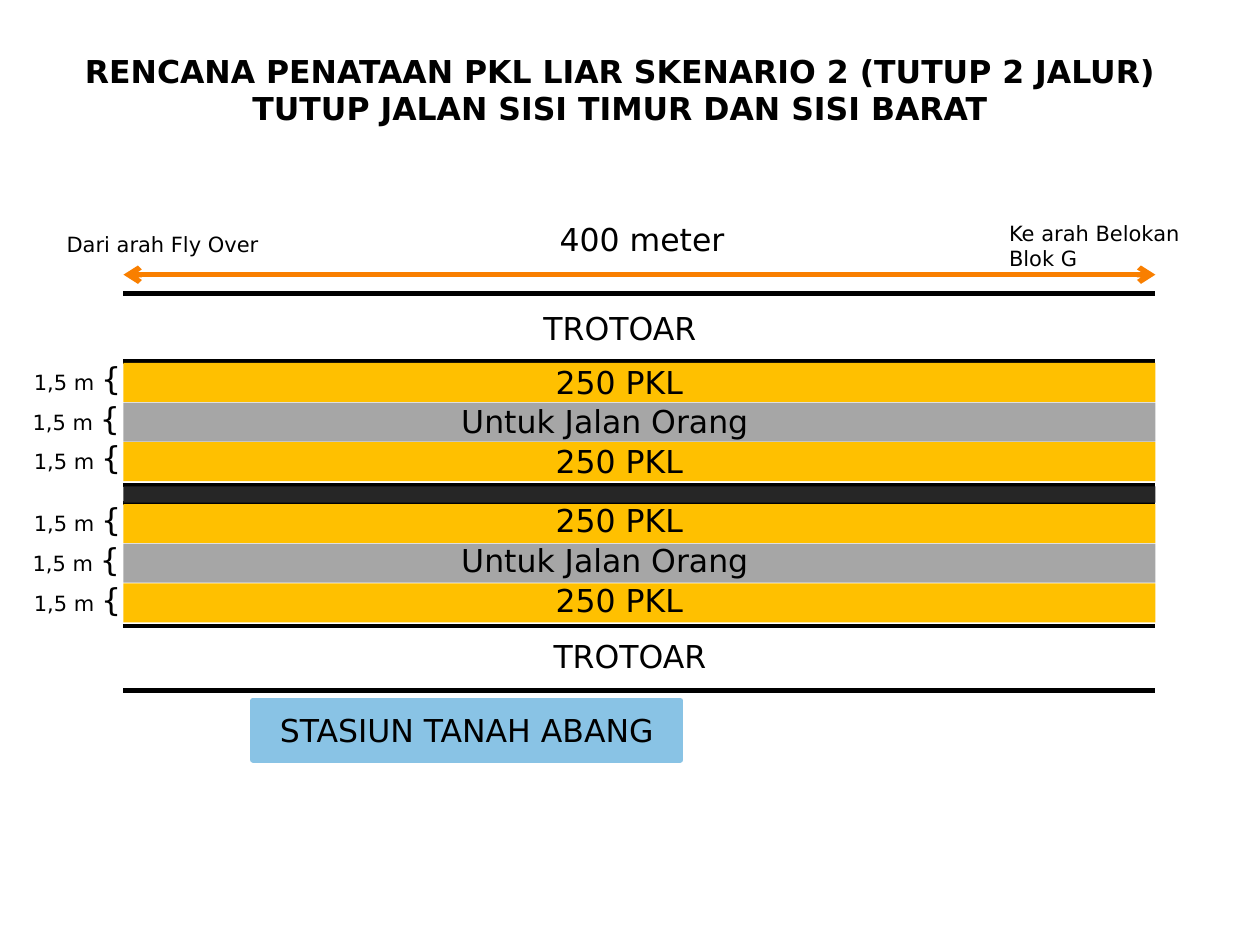
from lxml import etree
from pptx import Presentation
from pptx.dml.color import RGBColor
from pptx.enum import shapes, text
from pptx.oxml import ns
from pptx.util import Inches, Pt

COLORS = {
    "ink": "000000",
    "stall": "FFC000",
    "walkway": "A6A6A6",
    "median": "262626",
    "station": "89C3E5",
    "arrow": "F97F00",
}
FONT = "DejaVu Sans"
LEFT, LENGTH = 0.98, 8.19
LANE_HEIGHT, LANE_STEP = 0.31, 0.315
LANES = [
    ("stall", "250 PKL", 3.66, 2.51, 0.2),
    ("walkway", "Untuk Jalan Orang", 3.19, 3.22, 0.19),
    ("stall", "250 PKL", 3.66, 2.51, 0.2),
]


class StreetPlan:
    def __init__(self, slide):
        self.shapes = slide.shapes

    def color(self, name):
        return RGBColor.from_string(COLORS[name])

    def style(self, run, size, bold=False):
        run.font.name = FONT
        run.font.size = Pt(size)
        run.font.bold = bold
        run.font.color.rgb = self.color("ink")

    def label(self, words, left, top, width, height, size=18, bold=False, centered=True):
        box = self.shapes.add_textbox(*map(Inches, (left, top, width, height)))
        frame = box.text_frame
        frame.word_wrap = True
        frame.auto_size = text.MSO_AUTO_SIZE.SHAPE_TO_FIT_TEXT
        frame.text = words
        for paragraph in frame.paragraphs:
            paragraph.alignment = text.PP_ALIGN.CENTER if centered else text.PP_ALIGN.LEFT
            for run in paragraph.runs:
                self.style(run, size, bold)
        return frame

    def lane_width(self, left, top):
        frame = self.label("1,5 m ", left, top, 0.83, 0.38, size=12)
        frame.margin_left = frame.margin_right = Inches(0.04)
        frame.margin_top = frame.margin_bottom = Inches(0.04)
        brace = frame.paragraphs[0].add_run()
        brace.text = "{"
        self.style(brace, 18)

    def block(self, color, left, top, width, height):
        block = self.shapes.add_shape(
            shapes.MSO_SHAPE.RECTANGLE, *map(Inches, (left, top, width, height)))
        block.shadow.inherit = False
        block.fill.solid()
        block.fill.fore_color.rgb = self.color(color)
        block.line.fill.background()
        return block

    def station(self, words, left, top, width, height):
        station = self.block("station", left, top, width, height)
        station.line.color.rgb = self.color("station")
        station.line.width = Pt(3.35)
        frame = station.text_frame
        frame.text = words
        frame.vertical_anchor = text.MSO_ANCHOR.MIDDLE
        frame.paragraphs[0].alignment = text.PP_ALIGN.CENTER
        self.style(frame.paragraphs[0].runs[0], 18)

    def line(self, y, color="ink", width=2.5):
        line = self.shapes.add_connector(
            shapes.MSO_CONNECTOR.STRAIGHT,
            *map(Inches, (LEFT, y, LEFT + LENGTH, y)))
        line.line.color.rgb = self.color(color)
        line.line.width = Pt(width)
        etree.SubElement(line._element.spPr, ns.qn("a:effectLst"))
        return line

    def double_arrow(self, y):
        outline = self.line(y, "arrow", 3).line._get_or_add_ln()
        for end in ("a:headEnd", "a:tailEnd"):
            etree.SubElement(outline, ns.qn(end), type="arrow")

    def road(self, top, label_lift):
        for index, (color, words, left, width, measure_left) in enumerate(LANES):
            y = top + index * LANE_STEP
            self.block(color, LEFT, y, LENGTH, LANE_HEIGHT)
            self.label(words, left, y - label_lift, width, 0.4)
            self.lane_width(measure_left, y - 0.07)


def main():
    deck = Presentation()
    deck.slide_width, deck.slide_height = Inches(10), Inches(7.5)
    plan = StreetPlan(deck.slides.add_slide(deck.slide_layouts[6]))

    plan.label("RENCANA PENATAAN PKL LIAR SKENARIO 2 (TUTUP 2 JALUR)\n"
               "TUTUP JALAN SISI TIMUR DAN SISI BARAT",
               0.43, 0.36, 8.98, 0.71, bold=True)

    for edge in (2.33, 2.87, 3.85, 3.99, 4.97, 5.48):
        plan.line(edge)
    plan.road(2.88, 0.05)
    plan.road(4, 0.07)
    plan.block("median", LEFT, 3.86, LENGTH, 0.13)

    plan.label("TROTOAR", 2.48, 2.4, 4.88, 0.4)
    plan.label("TROTOAR", 2.56, 5.01, 4.88, 0.4)
    plan.station("STASIUN TANAH ABANG", 2.01, 5.56, 3.39, 0.47)

    plan.double_arrow(2.18)
    plan.label("400 meter", 1.02, 1.7, 8.15, 0.4)
    plan.label("Dari arah Fly Over", 0.43, 1.79, 1.89, 0.3, size=12, centered=False)
    plan.label("Ke arah Belokan Blok G", 7.91, 1.7, 1.89, 0.5, size=12, centered=False)

    deck.save("out.pptx")


if __name__ == "__main__":
    main()
